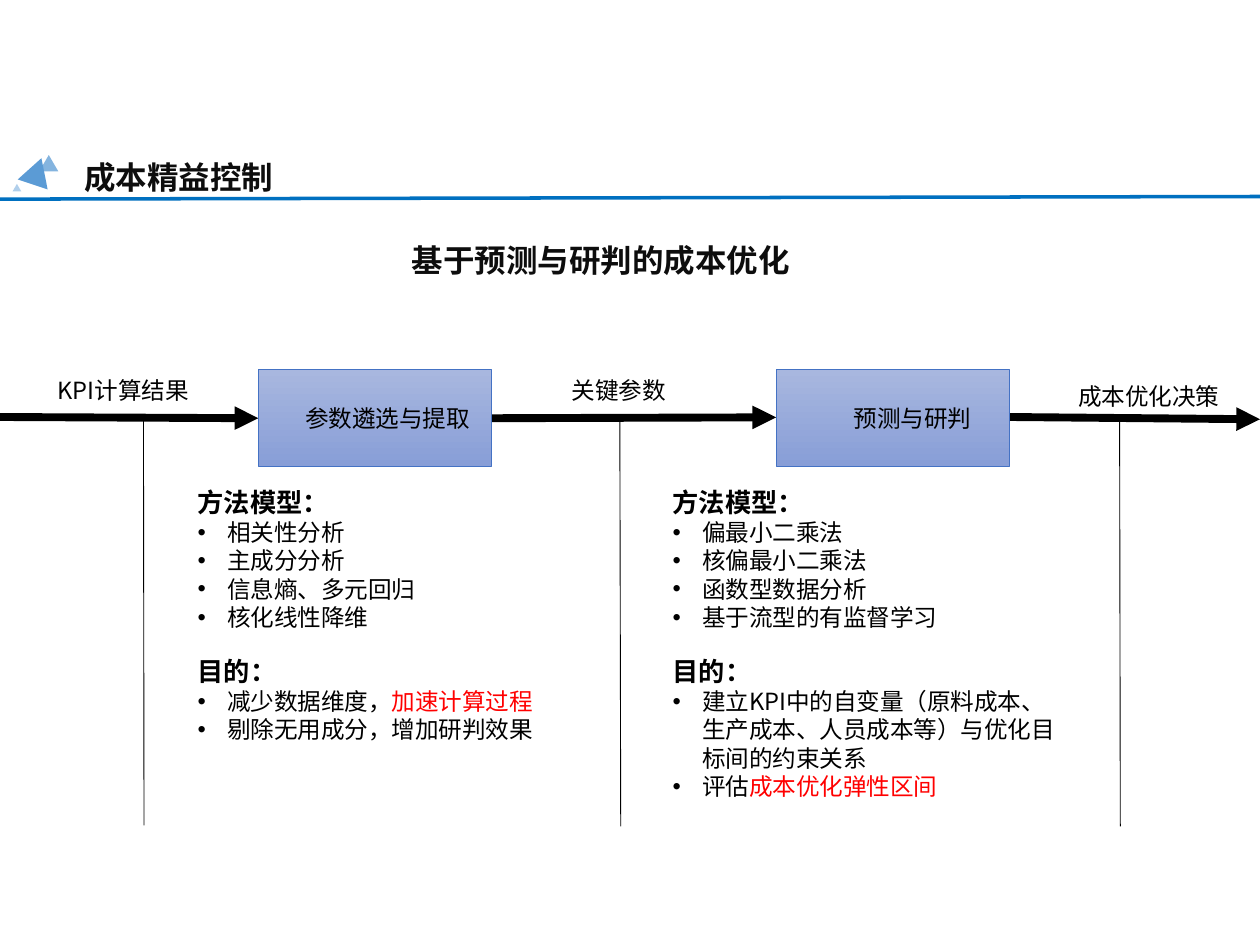
from pptx import Presentation
from pptx.dml.color import RGBColor
from pptx.enum import shapes, text
from pptx.oxml.ns import qn
from pptx.util import Pt
from lxml import etree

BLACK = RGBColor(0x00, 0x00, 0x00)
INK = RGBColor(0x0D, 0x0D, 0x0D)
RED = RGBColor(0xFF, 0x00, 0x00)
RULE_BLUE = RGBColor(0x00, 0x70, 0xC0)
LOGO_BLUE = RGBColor(0x5B, 0x9B, 0xD5)
STEP_EDGE = RGBColor(0x44, 0x72, 0xC4)
STEP_TOP = RGBColor(0xA8, 0xB7, 0xDF)
STEP_BOTTOM = RGBColor(0x88, 0x9E, 0xD7)
FONT = "Noto Sans CJK SC"


def style_run(run, size, color=BLACK, bold=False):
    run.font.name = FONT
    run.font.size = Pt(size)
    run.font.bold = bold
    run.font.color.rgb = color
    etree.SubElement(run.font._element, qn("a:ea"), typeface=FONT)


def add_line(slide, start, end, color, width, arrow=False):
    line = slide.shapes.add_connector(
        shapes.MSO_CONNECTOR.STRAIGHT, *[Pt(v) for v in (*start, *end)])
    line.line.color.rgb = color
    line.line.width = Pt(width)
    if arrow:
        etree.SubElement(line.line._get_or_add_ln(), qn("a:tailEnd"), type="triangle")
    etree.SubElement(line._element.spPr, qn("a:effectLst"))


prs = Presentation()
prs.slide_width, prs.slide_height = Pt(720), Pt(540)
slide = prs.slides.add_slide(prs.slide_layouts[4])

title = slide.shapes.title
title.left, title.top, title.width, title.height = Pt(41), Pt(86.4), Pt(281), Pt(29)
title.text_frame.text = "成本精益控制"
title.text_frame.vertical_anchor = text.MSO_ANCHOR.TOP
title.text_frame.auto_size = text.MSO_AUTO_SIZE.NONE
title.text_frame.paragraphs[0].alignment = text.PP_ALIGN.LEFT
style_run(title.text_frame.paragraphs[0].runs[0], 18, INK, True)

for left, top, width, height, turn, opacity in [
    (22.4, 88.6, 11, 9.4, 0, 75),
    (12.2, 90, 18, 15.8, 18.5, 100),
    (7.2, 105.1, 5, 4.3, 0, 47),
]:
    triangle = slide.shapes.add_shape(
        shapes.MSO_SHAPE.ISOSCELES_TRIANGLE, Pt(left), Pt(top), Pt(width), Pt(height))
    triangle.rotation = turn
    triangle.shadow.inherit = False
    triangle.line.fill.background()
    triangle.fill.solid()
    triangle.fill.fore_color.rgb = LOGO_BLUE
    if opacity < 100:
        color = triangle._element.spPr.find(".//" + qn("a:srgbClr"))
        etree.SubElement(color, qn("a:alpha"), val=str(opacity * 1000))

add_line(slide, (-1.4, 113.8), (720, 112.3), RULE_BLUE, 2)

for caption, left, top, width, height, size, color, bold in [
    ("基于预测与研判的成本优化", 228.2, 133.9, 253.5, 29, 18, INK, True),
    ("KPI计算结果", 25.9, 211, 96.5, 24, 13.5, BLACK, False),
    ("关键参数", 319.7, 211, 70, 24, 13.5, BLACK, False),
    ("成本优化决策", 609.1, 214.6, 99.5, 24, 13.5, BLACK, False),
]:
    label = slide.shapes.add_textbox(Pt(left), Pt(top), Pt(width), Pt(height))
    label.text_frame.word_wrap = True
    label.text_frame.text = caption
    style_run(label.text_frame.paragraphs[0].runs[0], size, color, bold)

for start, end in [
    ((0, 238.3), (147.6, 239)),
    ((280.8, 239), (443.5, 238.5)),
    ((576.7, 238.3), (720, 239.6)),
]:
    add_line(slide, start, end, BLACK, 4.5, arrow=True)

for bottom, top in [
    ((82.3, 471.6), (82, 238.3)),
    ((354.7, 472.3), (354.2, 239)),
    ((640.2, 472.3), (639.8, 239)),
]:
    add_line(slide, bottom, top, BLACK, 0.5)

for caption, left, inset in [("参数遴选与提取", 147.6, 21.5), ("预测与研判", 443.5, 30)]:
    step = slide.shapes.add_shape(
        shapes.MSO_SHAPE.RECTANGLE, Pt(left), Pt(211.4), Pt(133.2), Pt(55))
    step.shadow.inherit = False
    step.fill.gradient()
    step.fill.gradient_angle = 270
    for stop, color, position in zip(
            step.fill.gradient_stops, (STEP_TOP, STEP_BOTTOM), (0, 1)):
        stop.color.rgb = color
        stop.position = position
    step.line.color.rgb = STEP_EDGE
    step.line.width = Pt(0.5)
    step.text_frame.margin_left = Pt(inset)
    step.text_frame.vertical_anchor = text.MSO_ANCHOR.MIDDLE
    step.text_frame.text = caption
    step.text_frame.paragraphs[0].alignment = text.PP_ALIGN.CENTER
    style_run(step.text_frame.paragraphs[0].runs[0], 13.5)

METHOD_TOP, PURPOSE_TOP = 275, 371.5
for index, left, top, width, height, heading, items in [
    (1, 108, METHOD_TOP, 147.6, 89.3, "方法模型：",
     [("相关性分析", ""), ("主成分分析", ""), ("信息熵、多元回归", ""), ("核化线性降维", "")]),
    (2, 108, PURPOSE_TOP, 235.4, 56.2, "目的：",
     [("减少数据维度，", "加速计算过程"), ("剔除无用成分，增加研判效果", "")]),
    (3, 379.4, METHOD_TOP, 223.2, 89.3, "方法模型：",
     [("偏最小二乘法", ""), ("核偏最小二乘法", ""), ("函数型数据分析", ""), ("基于流型的有监督学习", "")]),
    (4, 379.4, PURPOSE_TOP, 235.4, 89.3, "目的：",
     [("建立KPI中的自变量（原料成本、生产成本、人员成本等）与优化目标间的约束关系", ""),
      ("评估", "成本优化弹性区间")]),
]:
    section = slide.placeholders[index]
    section.left, section.top, section.width, section.height = (
        Pt(left), Pt(top), Pt(width), Pt(height))
    frame = section.text_frame
    frame.auto_size = text.MSO_AUTO_SIZE.NONE
    frame.vertical_anchor = text.MSO_ANCHOR.TOP
    frame.margin_left = frame.margin_right = Pt(5)
    frame.margin_top = frame.margin_bottom = Pt(3)
    frame.text = "\n".join([heading] + [plain for plain, _ in items])
    for number, paragraph in enumerate(frame.paragraphs):
        paragraph.space_before = Pt(0)
        properties = paragraph._p.get_or_add_pPr()
        if number == 0:
            properties.set("marL", "0")
            properties.set("indent", "0")
            etree.SubElement(properties, qn("a:buNone"))
            style_run(paragraph.runs[0], 15, bold=True)
            continue
        properties.set("marL", str(Pt(16.9)))
        properties.set("indent", str(-Pt(16.9)))
        etree.SubElement(properties, qn("a:buFont"), typeface="Arial")
        etree.SubElement(properties, qn("a:buChar"), char="•")
        style_run(paragraph.runs[0], 13.5)
        emphasis = items[number - 1][1]
        if emphasis:
            run = paragraph.add_run()
            run.text = emphasis
            style_run(run, 13.5, RED)

prs.save("out.pptx")
